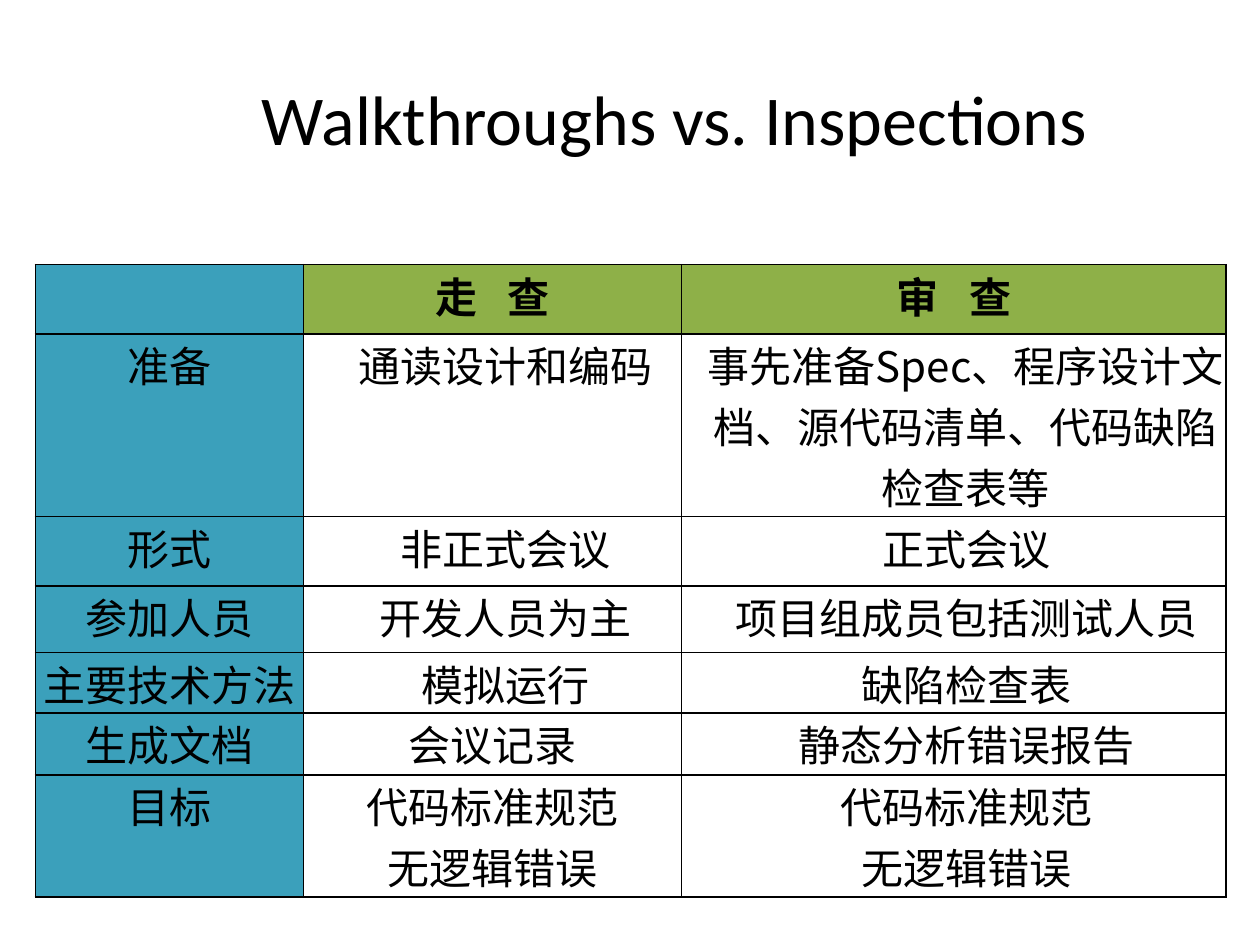
from typing import NamedTuple

from lxml.etree import SubElement
from pptx import Presentation
from pptx.dml.color import RGBColor
from pptx.enum.text import MSO_ANCHOR, PP_ALIGN
from pptx.oxml.ns import qn
from pptx.util import Inches, Pt

BLACK = RGBColor(0x00, 0x00, 0x00)
TOPIC_BLUE = RGBColor(0x3B, 0xA0, 0xBB)
HEADER_GREEN = RGBColor(0x8E, 0xB0, 0x48)
CJK_FONT = "Noto Sans CJK SC"
HEADER_FONT = "Times New Roman"
TITLE_FONT = "Calibri"


class Indent(NamedTuple):
    left: float
    first: float


HANGING = Indent(0.38, -0.38)
OFFSET = Indent(0.38, -0.18)
BLOCK = Indent(0.19, 0)


class Entry(NamedTuple):
    lines: tuple[str, ...]
    indent: Indent = OFFSET


class Comparison(NamedTuple):
    topic: str
    walkthrough: Entry
    inspection: Entry
    height: float


HEADER_HEIGHT = 0.55
HEADERS = ("走 查", "审 查")
COLUMN_WIDTHS = (2.13, 3, 4.32)
GOALS = ("代码标准规范", "无逻辑错误")
COMPARISONS = (
    Comparison("准备", Entry(("通读设计和编码",)),
               Entry(("事先准备Spec、程序设计文档、源代码清单、代码缺陷检查表等",), BLOCK), 1.45),
    Comparison("形式", Entry(("非正式会议",)), Entry(("正式会议",)), 0.55),
    Comparison("参加人员", Entry(("开发人员为主",)), Entry(("项目组成员包括测试人员",)), 0.53),
    Comparison("主要技术方法", Entry(("模拟运行",)), Entry(("缺陷检查表",)), 0.48),
    Comparison("生成文档", Entry(("会议记录",), HANGING), Entry(("静态分析错误报告",)), 0.49),
    Comparison("目标", Entry(GOALS, HANGING), Entry(GOALS), 0.97),
)


def add_run(paragraph, text: str, size: float, font_name: str, bold: bool = False):
    run = paragraph.add_run()
    run.text = text
    font = run.font
    font.size, font.name, font.bold = Pt(size), font_name, bold
    font.color.rgb = BLACK
    return run


def add_cell_run(paragraph, text: str, font_name: str, bold: bool = False):
    """Add a 24 pt run whose Chinese characters use the CJK font."""
    run = add_run(paragraph, text, 24, font_name, bold)
    SubElement(run.font._element, qn("a:ea"), typeface=CJK_FONT)
    return run


def style_cell(cell, fill: RGBColor | None = None) -> None:
    """Remove the margins, then set thin black borders and the fill."""
    cell.margin_left = cell.margin_right = cell.margin_top = cell.margin_bottom = 0
    properties = cell._tc.get_or_add_tcPr()
    for side in ("lnL", "lnR", "lnT", "lnB"):
        border = SubElement(properties, qn(f"a:{side}"), w=str(Pt(1)))
        line_fill = SubElement(border, qn("a:solidFill"))
        SubElement(line_fill, qn("a:srgbClr"), val=str(BLACK))
    if fill is None:
        cell.fill.background()
    else:
        cell.fill.solid()
        cell.fill.fore_color.rgb = fill


def format_paragraph(paragraph, indent: Indent) -> None:
    paragraph.alignment = PP_ALIGN.CENTER
    properties = paragraph._p.get_or_add_pPr()
    properties.set("marL", str(Inches(indent.left)))
    properties.set("indent", str(Inches(indent.first)))


def write_entry(cell, entry: Entry) -> None:
    for index, line in enumerate(entry.lines):
        frame = cell.text_frame
        paragraph = frame.add_paragraph() if index else frame.paragraphs[0]
        format_paragraph(paragraph, entry.indent)
        add_cell_run(paragraph, line, CJK_FONT)


def write_header(cell, heading: str) -> None:
    """Write a bold heading with its middle space widened by tracking."""
    paragraph = cell.text_frame.paragraphs[0]
    format_paragraph(paragraph, HANGING)
    for part in heading.partition(" "):
        run = add_cell_run(paragraph, part, HEADER_FONT, bold=True)
        if part == " ":
            run.font._element.set("spc", "1200")


def add_title(slide, text: str) -> None:
    title = slide.shapes.add_textbox(Inches(1.77), Inches(0.44), Inches(7.17), Inches(0.98))
    frame = title.text_frame
    frame.word_wrap = True
    frame.vertical_anchor = MSO_ANCHOR.MIDDLE
    paragraph = frame.paragraphs[0]
    paragraph.alignment = PP_ALIGN.CENTER
    add_run(paragraph, text, 40, TITLE_FONT)


def add_comparison_table(slide) -> None:
    heights = (HEADER_HEIGHT, *(row.height for row in COMPARISONS))
    table = slide.shapes.add_table(
        len(heights), len(COLUMN_WIDTHS), Inches(0.28), Inches(2.1),
        Inches(sum(COLUMN_WIDTHS)), Inches(sum(heights))).table
    table.first_row = table.horz_banding = False
    for column, width in zip(table.columns, COLUMN_WIDTHS):
        column.width = Inches(width)
    for row, height in zip(table.rows, heights):
        row.height = Inches(height)

    style_cell(table.cell(0, 0), TOPIC_BLUE)
    for column, heading in enumerate(HEADERS, start=1):
        style_cell(table.cell(0, column), HEADER_GREEN)
        write_header(table.cell(0, column), heading)
    for row, comparison in enumerate(COMPARISONS, start=1):
        entries = (Entry((comparison.topic,), HANGING),
                   comparison.walkthrough, comparison.inspection)
        for column, entry in enumerate(entries):
            cell = table.cell(row, column)
            style_cell(cell, None if column else TOPIC_BLUE)
            write_entry(cell, entry)


def main() -> None:
    presentation = Presentation()
    presentation.slide_width, presentation.slide_height = Inches(10), Inches(7.5)
    slide = presentation.slides.add_slide(presentation.slide_layouts[6])
    add_title(slide, "Walkthroughs vs. Inspections")
    add_comparison_table(slide)
    presentation.save("out.pptx")


if __name__ == "__main__":
    main()
